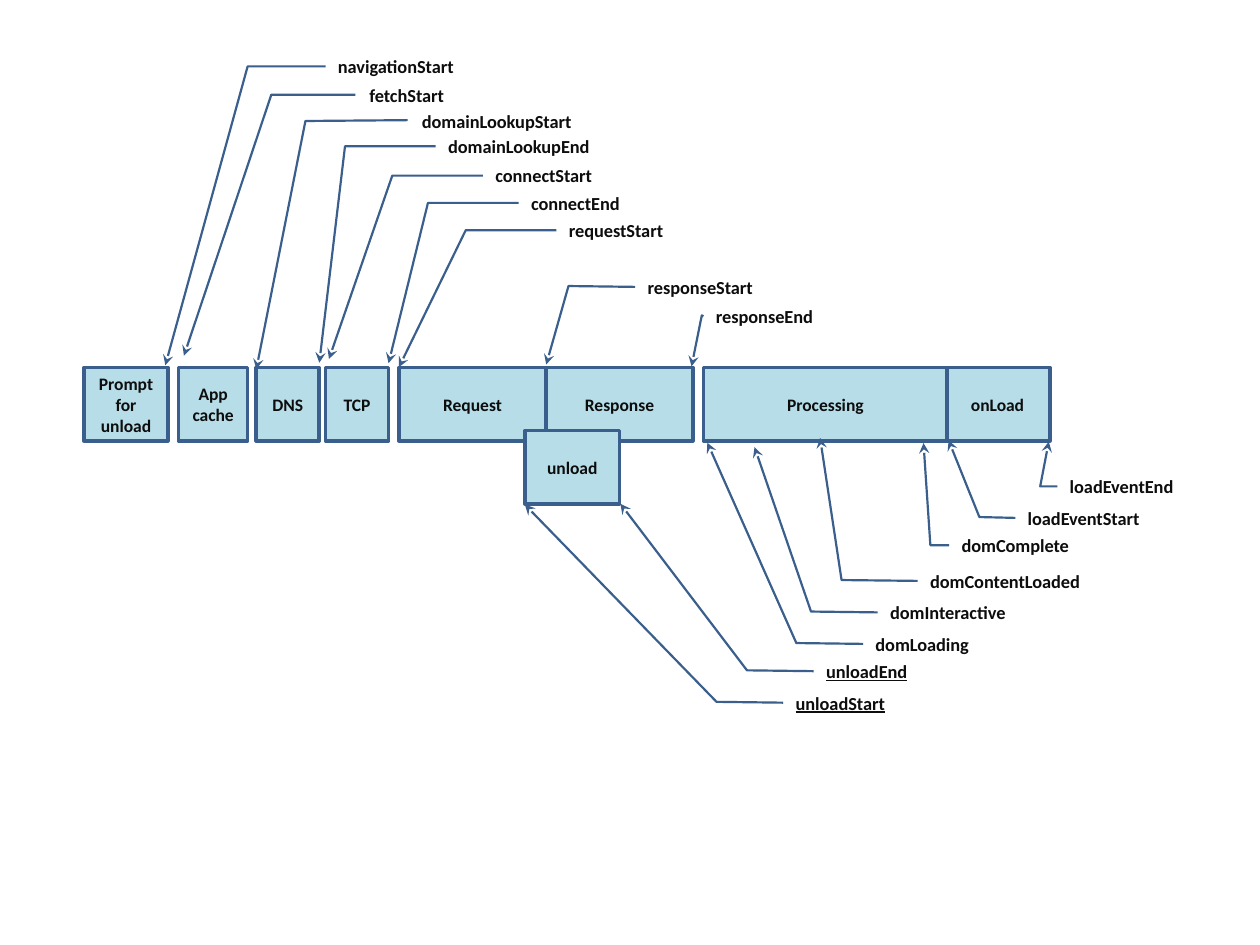
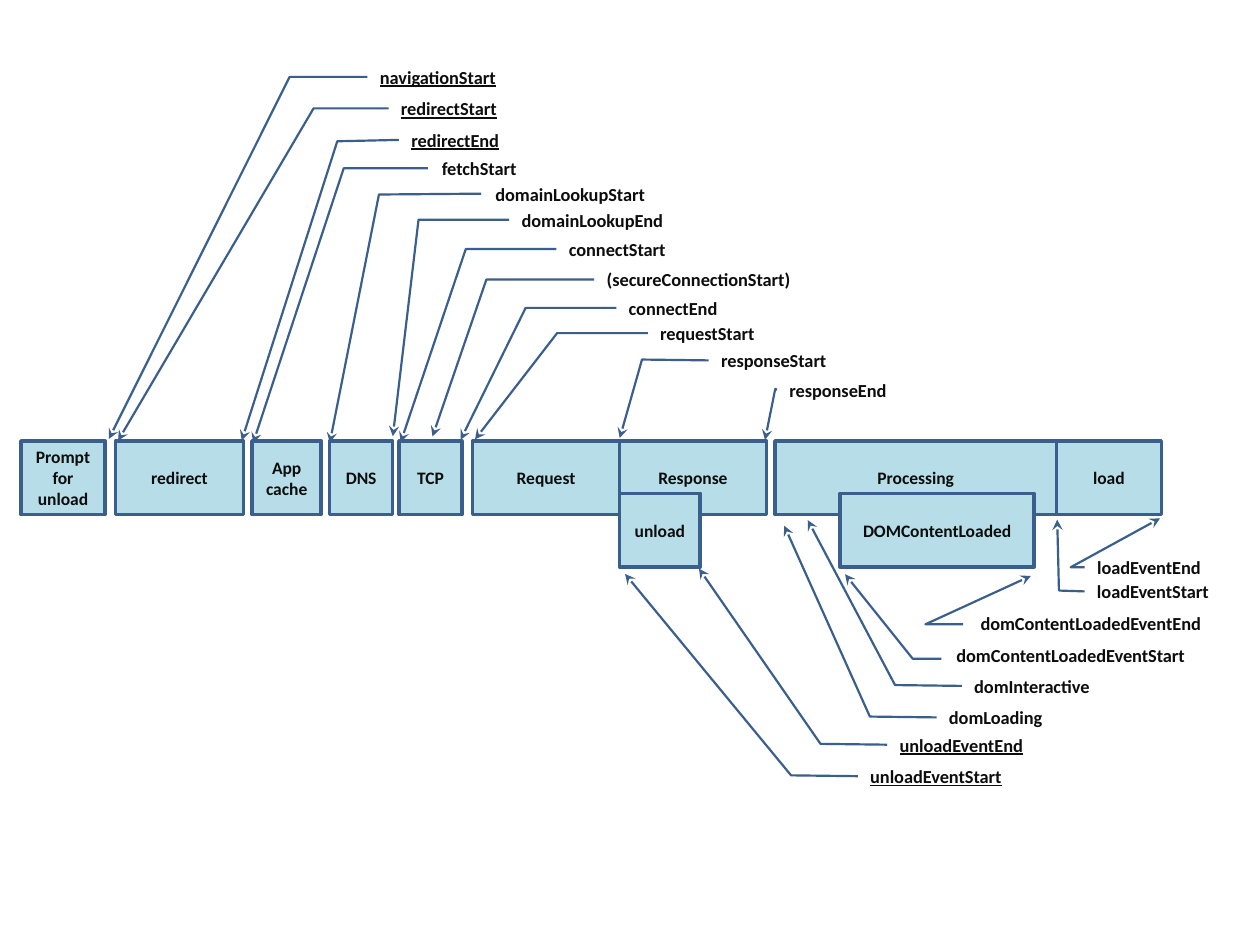
"""Build two slides of page-load timing diagrams."""
from typing import Any, NamedTuple

from pptx import Presentation
from pptx.dml.color import RGBColor
from pptx.enum.shapes import MSO_SHAPE as Preset
from pptx.enum.text import MSO_ANCHOR as Anchor, PP_ALIGN as Align
from pptx.oxml.ns import qn
from pptx.util import Inches, Pt
from lxml.etree import SubElement

WIDTH, HEIGHT = 10, 7.5
COLUMNS, ROWS = 120, 90
PHASE_ROWS, LABEL_ROWS = 7, 2.65
PHASE_FILL, LABEL_FILL, EDGE, INK = "B7DEE8", "FFFFFF", "3A5F8C", "0D0D0D"

Point = tuple[float, float]
SIDE: Point = (0.5, 0)
HIGH_BEND: Point = (0.5, -0.53)
LOW_BEND: Point = (0.47, -0.39)


class Phase(NamedTuple):
    """A box of the timeline, placed in grid units."""
    text: str
    column: float
    row: float
    columns: float


class Event(NamedTuple):
    """A label with a bent leader; leader points are (down, across) shares of the label."""
    text: str
    column: float
    row: float
    tip: Point
    bend: Point = HIGH_BEND
    columns: float = 16.3
    start: Point = SIDE
    underline: bool = False


class Diagram(NamedTuple):
    """All the parts of one slide."""
    phases: list[Phase]
    events: list[Event]


PLAIN = Diagram(
    [
        Phase("Prompt for unload", 8, 35, 8),
        Phase("App cache", 17, 35, 6.6),
        Phase("DNS", 24.4, 35, 6),
        Phase("TCP", 31, 35, 6),
        Phase("Request", 38, 35, 14),
        Phase("Response", 52, 35, 14),
        Phase("onLoad", 90, 35, 10),
        Phase("Processing", 67, 35, 23.2),
        Phase("unload", 50, 41, 9),
    ],
    [
        Event("navigationStart", 31, 5, (11.24, -1.09), columns=14),
        Event("fetchStart", 34, 7.7, (9.88, -1.07), columns=15.4, start=(0.5, -0.01)),
        Event("domainLookupStart", 39, 10.2, (9.42, -0.78), columns=18.7, start=(0.47, -0.01)),
        Event("domainLookupEnd", 41.5, 12.6, (8.28, -0.68)),
        Event("connectStart", 46, 15.4, (7.09, -0.9)),
        Event("connectEnd", 49.4, 18, (6.26, -0.76)),
        Event("requestStart", 53, 20.6, (5.42, -0.92)),
        Event("responseStart", 60.5, 26, (3.29, -0.52), LOW_BEND),
        Event("responseEnd", 67, 28.8, (2.3, -0.07), (0.47, -0.01)),
        Event("unloadStart", 74.6, 65.6, (-6.62, -1.51), LOW_BEND, underline=True),
        Event("unloadEnd", 77.5, 62.6, (-5.52, -1.13), LOW_BEND, underline=True),
        Event("domLoading", 82.2, 60, (-6.73, -0.91), LOW_BEND),
        Event("domInteractive", 83.6, 57, (-5.44, -0.72), LOW_BEND),
        Event("domContentLoaded", 87.4, 54, (-4.64, -0.5), LOW_BEND, columns=18.6),
        Event("domComplete", 90.4, 50.6, (-3.17, -0.15), (0.5, -0.11)),
        Event("loadEventStart", 96.7, 48, (-2.29, -0.39), (0.47, -0.21)),
        Event("loadEventEnd", 100.7, 45, (-1.11, -0.05), (0.5, -0.1)),
    ],
)

DETAILED = Diagram(
    [
        Phase("Prompt for unload", 2, 42, 8),
        Phase("redirect", 11, 42, 12.2),
        Phase("App cache", 24, 42, 6.6),
        Phase("DNS", 31.4, 42, 6),
        Phase("TCP", 38, 42, 6),
        Phase("Request", 45, 42, 14),
        Phase("Response", 59, 42, 14),
        Phase("load", 100.6, 42, 10),
        Phase("Processing", 73.8, 42, 26.8),
        Phase("unload", 59, 47, 7.7),
        Phase("DOMContentLoaded", 80, 47, 18.5),
    ],
    [
        Event("navigationStart", 35, 6, (13.51, -1.76), columns=14, underline=True),
        Event("redirectStart", 37, 9, (12.44, -1.84), (0.5, -0.51), 14, underline=True),
        Event("redirectEnd", 38, 12, (11.3, -1.07), (0.55, -0.42), 14, underline=True),
        Event("fetchStart", 40.9, 14.7, (10.37, -1.09), columns=15.4, start=(0.5, -0.01)),
        Event("domainLookupStart", 46, 17.2, (9.42, -0.78), columns=18.7, start=(0.47, -0.01)),
        Event("domainLookupEnd", 48.5, 19.6, (8.28, -0.68)),
        Event("connectStart", 53, 22.4, (7.44, -0.91)),
        Event("(secureConnectionStart)", 56.6, 25.3, (6.14, -0.72), (0.5, -0.48), 21.4),
        Event("connectEnd", 58.7, 28, (5.24, -0.91)),
        Event("requestStart", 61.7, 30.4, (4.32, -1.01)),
        Event("responseStart", 67.5, 33, (3.29, -0.52), LOW_BEND),
        Event("responseEnd", 74, 35.8, (2.3, -0.07), (0.47, -0.01)),
        Event("unloadEventStart", 81.7, 72.6, (-6.77, -1.36), LOW_BEND, underline=True),
        Event("unloadEventEnd", 84.5, 69.6, (-5.83, -1.1), LOW_BEND, underline=True),
        Event("domLoading", 89.2, 67, (-6.39, -0.89), LOW_BEND),
        Event("domInteractive", 91.6, 64, (-5.46, -0.9), LOW_BEND),
        Event("domContentLoadedEventStart", 89.9, 61.1, (-2.42, -0.38), (0.62, -0.12), 24.8,
              (0.62, -0.01)),
        Event("domContentLoadedEventEnd", 92.2, 58, (-1.19, 0.25), (0.55, -0.17), 23.9,
              (0.55, -0.02)),
        Event("loadEventStart", 103.3, 55, (-2.08, -0.16), (0.47, -0.15)),
        Event("loadEventEnd", 103.3, 52.7, (-1.26, 0.54), (0.5, -0.1), 13.3),
    ],
)


def color(value: str) -> RGBColor:
    """Turn a hex string into a colour."""
    return RGBColor.from_string(value)


def across(columns: float) -> int:
    """Turn grid columns into a length."""
    return Inches(WIDTH * columns / COLUMNS)


def down(rows: float) -> int:
    """Turn grid rows into a length."""
    return Inches(HEIGHT * rows / ROWS)


def apply(target: Any, formats: dict[str, Any]) -> None:
    """Set each attribute named in the format values."""
    for name, value in formats.items():
        setattr(target, name, value)


def add_box(page: Any, preset: Preset, item: Phase | Event, rows: float, fill: str,
            weight: float, align: Align, font: dict[str, Any]) -> Any:
    """Draw a filled, outlined shape with one bold line of text."""
    box = page.shapes.add_shape(
        preset, across(item.column), down(item.row), across(item.columns), down(rows))
    box.shadow.inherit = False
    box.fill.solid()
    box.fill.fore_color.rgb = color(fill)
    box.line.color.rgb = color(EDGE)
    box.line.width = Pt(weight)
    apply(box.text_frame, {"word_wrap": True, "vertical_anchor": Anchor.MIDDLE})
    para = box.text_frame.paragraphs[0]
    para.alignment = align
    span = para.add_run()
    span.text = item.text
    apply(span.font, {"name": "Calibri", "bold": True} | font)
    span.font.color.rgb = color(INK)
    return box


def add_phase(page: Any, phase: Phase) -> None:
    """Draw one box of the timeline."""
    add_box(page, Preset.RECTANGLE, phase, PHASE_ROWS, PHASE_FILL, 2, Align.CENTER,
            {"size": Pt(10)})


def add_event(page: Any, event: Event) -> None:
    """Draw one label whose leader ends in an arrowhead."""
    callout = add_box(page, Preset.LINE_CALLOUT_2_NO_BORDER, event, LABEL_ROWS, LABEL_FILL,
                      1.25, Align.LEFT, {"size": Pt(10.5), "underline": event.underline})
    for index, share in enumerate(event.start + event.bend + event.tip):
        callout.adjustments[index] = share
    outline = callout.line._get_or_add_ln()
    SubElement(outline, qn("a:tailEnd"), type="stealth")


def main() -> None:
    """Build and save the deck."""
    deck = Presentation()
    apply(deck, {"slide_width": Inches(WIDTH), "slide_height": Inches(HEIGHT)})
    for diagram in (PLAIN, DETAILED):
        page = deck.slides.add_slide(deck.slide_layouts[6])
        for phase in diagram.phases:
            add_phase(page, phase)
        for event in diagram.events:
            add_event(page, event)
    deck.save("out.pptx")


if __name__ == "__main__":
    main()
